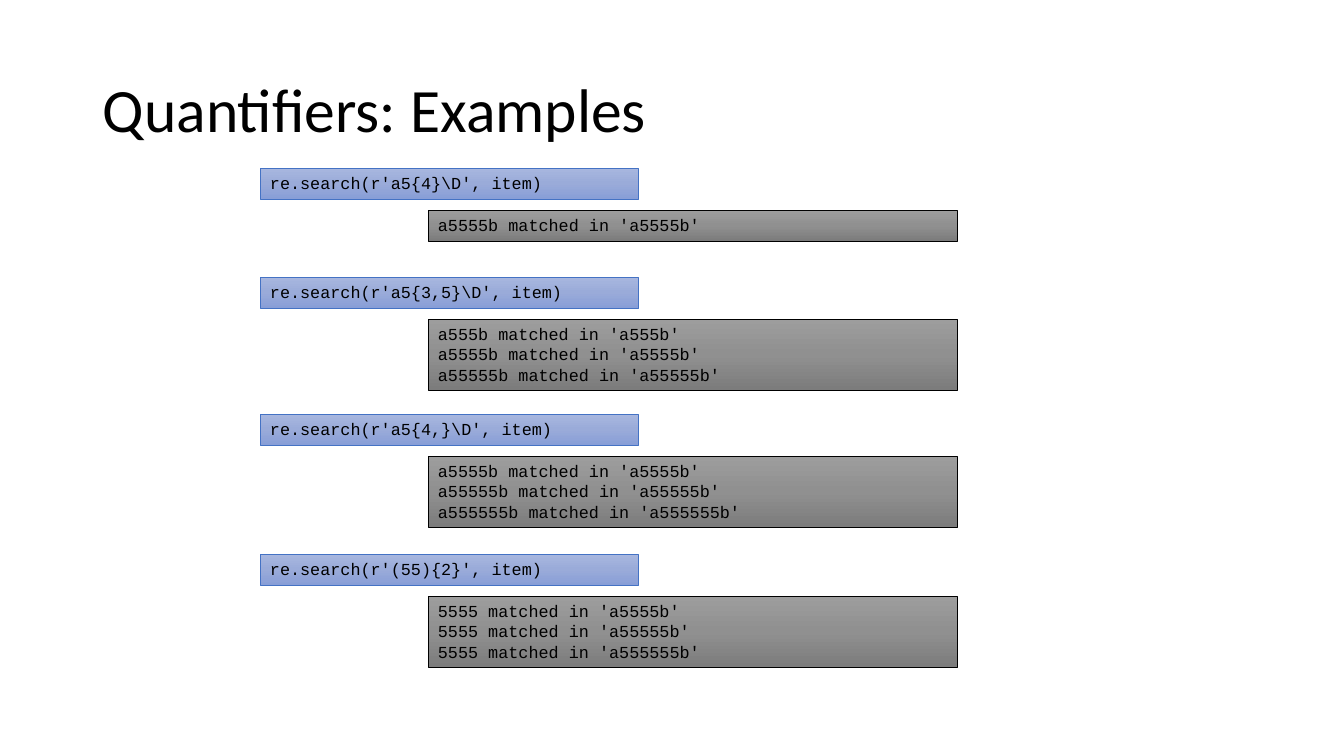
from copy import deepcopy

from pptx import Presentation
from pptx import util as u
from pptx.dml.color import RGBColor
from pptx.enum import shapes, text
from pptx.oxml.ns import qn

TITLE = "Quantifiers: Examples"
EXAMPLES = [
    (168, r"re.search(r'a5{4}\D', item)", ["a5555b matched in 'a5555b'"]),
    (277, r"re.search(r'a5{3,5}\D', item)", [
        "a555b matched in 'a555b'",
        "a5555b matched in 'a5555b'",
        "a55555b matched in 'a55555b'",
    ]),
    (414, r"re.search(r'a5{4,}\D', item)", [
        "a5555b matched in 'a5555b'",
        "a55555b matched in 'a55555b'",
        "a555555b matched in 'a555555b'",
    ]),
    (554, r"re.search(r'(55){2}', item)", [
        "5555 matched in 'a5555b'",
        "5555 matched in 'a55555b'",
        "5555 matched in 'a555555b'",
    ]),
]

BLACK = RGBColor(0x00, 0x00, 0x00)
BLUE = RGBColor(0x44, 0x72, 0xC4)
BLUE_SHADES = [RGBColor(0xA8, 0xB7, 0xDF), RGBColor(0x9A, 0xAB, 0xD9), RGBColor(0x88, 0x9E, 0xD7)]
GREY_SHADES = [RGBColor(0x9D, 0x9D, 0x9D), RGBColor(0x90, 0x90, 0x90), RGBColor(0x7C, 0x7C, 0x7C)]

CODE_LEFT, CODE_WIDTH = 260, 378
RESULT_LEFT, RESULT_WIDTH, RESULT_DROP = 428, 529, 42
LINE_HEIGHT, BOX_PADDING = 20, 11


def px(length):
    return u.Emu(round(length * 914400 / 100.8))


def fill_gradient(shape, shades):
    shape.fill.gradient()
    shape.fill.gradient_angle = 270
    stop_list = shape.element.spPr.find(".//" + qn("a:gsLst"))
    stop_list.insert(1, deepcopy(stop_list[0]))
    for index, (stop, shade) in enumerate(zip(shape.fill.gradient_stops, shades)):
        stop.position = index / 2
        stop.color.rgb = shade


def add_code_box(slide, left, top, width, lines, shades, border):
    height = BOX_PADDING + LINE_HEIGHT * len(lines)
    shape = slide.shapes.add_shape(
        shapes.MSO_SHAPE.RECTANGLE, px(left), px(top), px(width), px(height))
    shape.shadow.inherit = False
    fill_gradient(shape, shades)
    shape.line.color.rgb = border
    shape.line.width = u.Pt(0.5)
    frame = shape.text_frame
    frame.text = "\n".join(lines)
    frame.word_wrap = True
    frame.auto_size = text.MSO_AUTO_SIZE.SHAPE_TO_FIT_TEXT
    frame.vertical_anchor = text.MSO_ANCHOR.TOP
    for paragraph in frame.paragraphs:
        paragraph.alignment = text.PP_ALIGN.LEFT
        set_font(paragraph, "Courier New", 12)


def set_font(paragraph, name, size):
    paragraph.font.name = name
    paragraph.font.size = u.Pt(size)
    paragraph.font.color.rgb = BLACK


def add_title(slide):
    box = slide.shapes.add_textbox(px(93), px(40), px(1159), px(146))
    frame = box.text_frame
    frame.word_wrap = True
    frame.vertical_anchor = text.MSO_ANCHOR.MIDDLE
    paragraph = frame.paragraphs[0]
    paragraph.text = TITLE
    paragraph.line_spacing = 0.9
    set_font(paragraph, "Calibri", 44)


def main():
    presentation = Presentation()
    presentation.slide_width, presentation.slide_height = px(1344), px(756)
    slide = presentation.slides.add_slide(presentation.slide_layouts[6])
    add_title(slide)
    for top, code, results in EXAMPLES:
        add_code_box(slide, CODE_LEFT, top, CODE_WIDTH, [code], BLUE_SHADES, BLUE)
        add_code_box(slide, RESULT_LEFT, top + RESULT_DROP, RESULT_WIDTH,
                     results, GREY_SHADES, BLACK)
    presentation.save("out.pptx")


if __name__ == "__main__":
    main()
